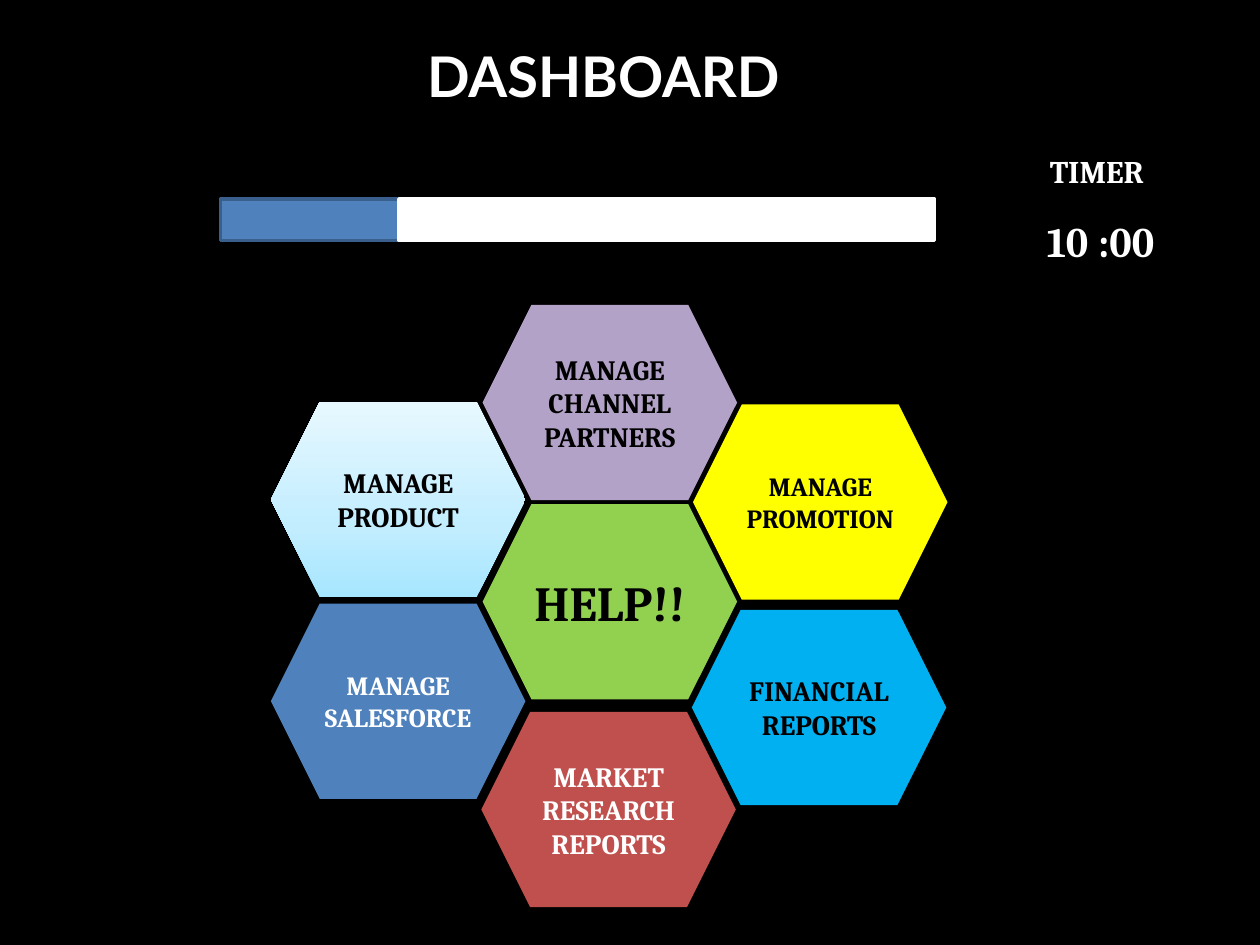
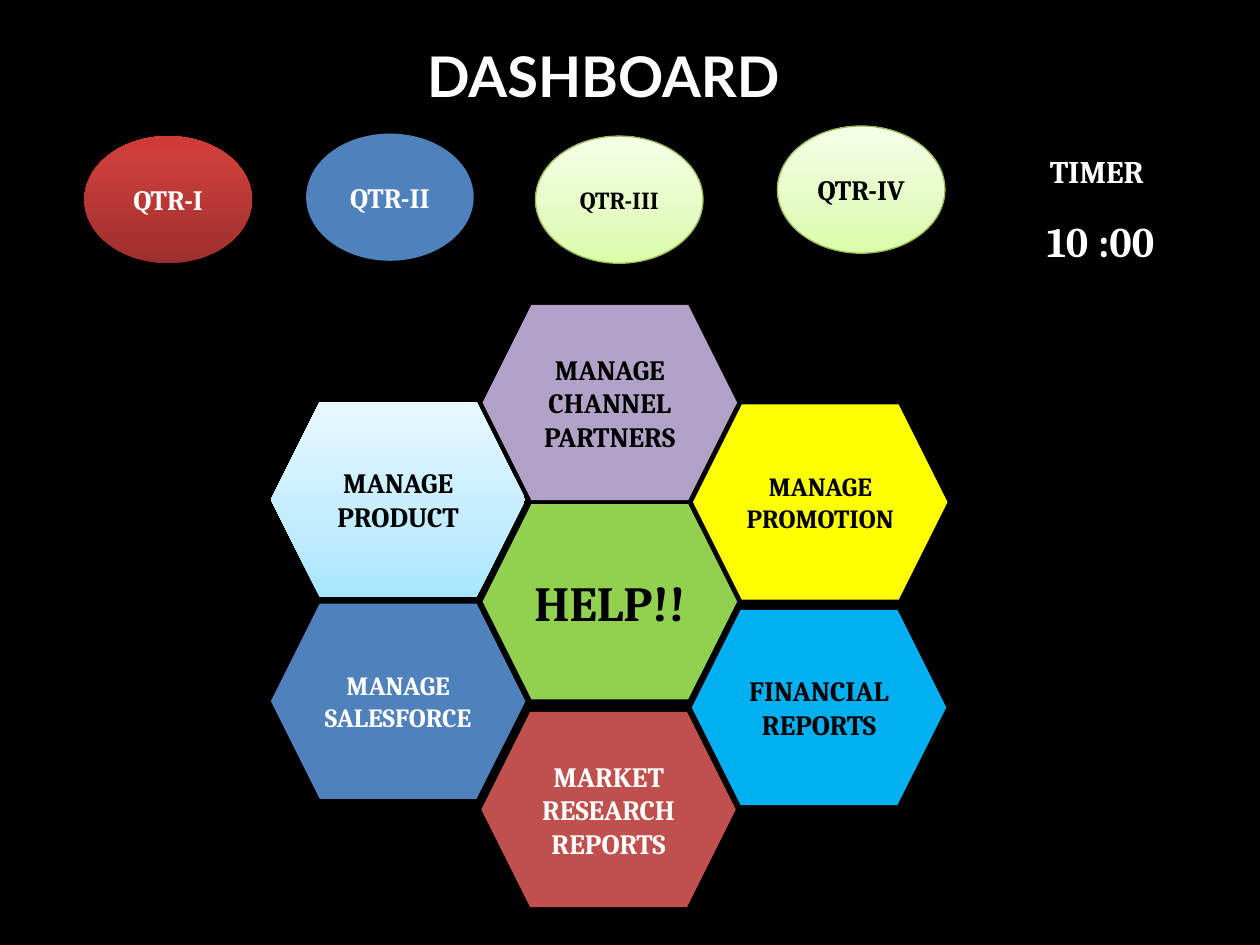
from lxml import etree
from pptx import Presentation
from pptx.dml.color import RGBColor
from pptx.enum.shapes import MSO_SHAPE
from pptx.enum.text import MSO_ANCHOR, PP_ALIGN
from pptx.oxml.ns import qn
from pptx.util import Inches, Pt

HEX, OVAL, RECT = MSO_SHAPE.HEXAGON, MSO_SHAPE.OVAL, MSO_SHAPE.RECTANGLE
LEFT, MID = PP_ALIGN.LEFT, PP_ALIGN.CENTER
TOP = MSO_ANCHOR.TOP

COLORS = {
    "black": "000000", "white": "FFFFFF", "blue": "4F81BD", "navy": "3A5F8C",
    "red": "C0504D", "purple": "B3A2C7", "yellow": "FFFF00",
    "green": "92D050", "cyan": "00B0F0", "olive": "98B955",
}
FADES = {
    "sky": [(0, "A7E6FF"), (35, "C1EDFF"), (100, "E7F8FF")],
    "ruby": [(0, "9C2F2D"), (80, "CB3E3A"), (100, "CE3B37")],
    "lime": [(0, "DAFDA7"), (35, "E4FCC2"), (100, "F5FFE7")],
}


def style(frame, text, size, color, font="Cambria", align=MID):
    frame.text = text
    frame.word_wrap = True
    para = frame.paragraphs[0]
    para.alignment = align
    face = para.runs[0].font
    face.size, face.name, face.bold = Pt(size), font, True
    face.color.rgb = RGBColor.from_string(COLORS[color])


def draw(slide, kind, box, fill, line=None, width=2):
    shape = slide.shapes.add_shape(kind, *[Inches(v) for v in box])
    shape.shadow.inherit = False
    if fill in FADES:
        shape.fill.gradient()
        shape.fill.gradient_angle = 90
        stops = shape._element.spPr.find(qn("a:gradFill")).find(qn("a:gsLst"))
        for old in list(stops):
            stops.remove(old)
        for pos, tone in FADES[fill]:
            stop = etree.SubElement(stops, qn("a:gs"), pos=str(pos * 1000))
            etree.SubElement(stop, qn("a:srgbClr"), val=tone)
    else:
        shape.fill.solid()
        shape.fill.fore_color.rgb = RGBColor.from_string(COLORS[fill])
    if line:
        shape.line.color.rgb = RGBColor.from_string(COLORS[line])
        shape.line.width = Pt(width)
    else:
        shape.line.fill.background()
    return shape


prs = Presentation()
prs.slide_width, prs.slide_height = Inches(10), Inches(7.5)
back = prs.slide_master.background.fill
back.solid()
back.fore_color.rgb = RGBColor.from_string(COLORS["black"])

CELLS = [
    (2.15, 3.19, "sky", "MANAGE PRODUCT", 16, "black"),
    (3.83, 2.42, "purple", "MANAGE CHANNEL PARTNERS", 16, "black"),
    (5.5, 3.21, "yellow", "MANAGE PROMOTION", 15, "black"),
    (3.83, 4, "green", "HELP!!", 28, "black"),
    (5.49, 4.84, "cyan", "FINANCIAL REPORTS", 16, "black"),
    (2.15, 4.79, "blue", "MANAGE SALESFORCE", 15, "white"),
    (3.82, 5.65, "red", "MARKET RESEARCH REPORTS", 16, "white"),
]
CLOCK = [
    ((8.08, 1.16, 1.25, 0.4), "TIMER", 18, MID),
    ((8.21, 1.66, 1.16, 0.5), "10 :00 ", 24, LEFT),
]
TERMS = [
    (0.67, 1.08, "ruby", None, "QTR-I", 16, "white", 35, 1.8),
    (2.43, 1.06, "blue", None, "QTR-II", 16, "white", 0, 0),
    (4.25, 1.08, "lime", "olive", "QTR-III", 14, "black", 38, 1.6),
    (6.17, 1, "lime", "olive", "QTR-IV", 16, "black", 38, 1.6),
]

slides = [prs.slides.add_slide(prs.slide_layouts[5]) for _ in range(2)]
for slide in slides:
    title = slide.shapes.title
    title.left, title.top = Inches(2.35), Inches(0.28)
    title.width, title.height = Inches(4.88), Inches(0.64)
    style(title.text_frame, "DASHBOARD", 32, "white", "Lato")
    title.text_frame.vertical_anchor = TOP
    for x, y, fill, text, size, ink in CELLS:
        cell = draw(slide, HEX, (x, y, 2.02, 1.55), fill)
        style(cell.text_frame, text, size, ink)
    for box, text, size, align in CLOCK:
        part = draw(slide, RECT, box, "black", "black")
        style(part.text_frame, text, size, "white", align=align)
        part.text_frame.vertical_anchor = TOP

first, second = slides
step = 4.25 / 3
for i in range(4):
    fill, line = ("white", "white") if i else ("blue", "navy")
    draw(first, RECT, (1.75 + i * step, 1.58, step, 0.33), fill, line)

for x, y, fill, line, text, size, ink, alpha, drop in TERMS:
    term = draw(second, OVAL, (x, y, 1.33, 1.01), fill, line, 0.75)
    style(term.text_frame, text, size, ink)
    if alpha:
        glow = term._element.spPr.find(qn("a:effectLst"))
        shade = etree.SubElement(
            glow, qn("a:outerShdw"), blurRad=str(Pt(3.1)),
            dist=str(Pt(drop)), dir="5400000", rotWithShape="0")
        tone = etree.SubElement(shade, qn("a:srgbClr"), val=COLORS["black"])
        etree.SubElement(tone, qn("a:alpha"), val=str(alpha * 1000))

prs.save("out.pptx")
